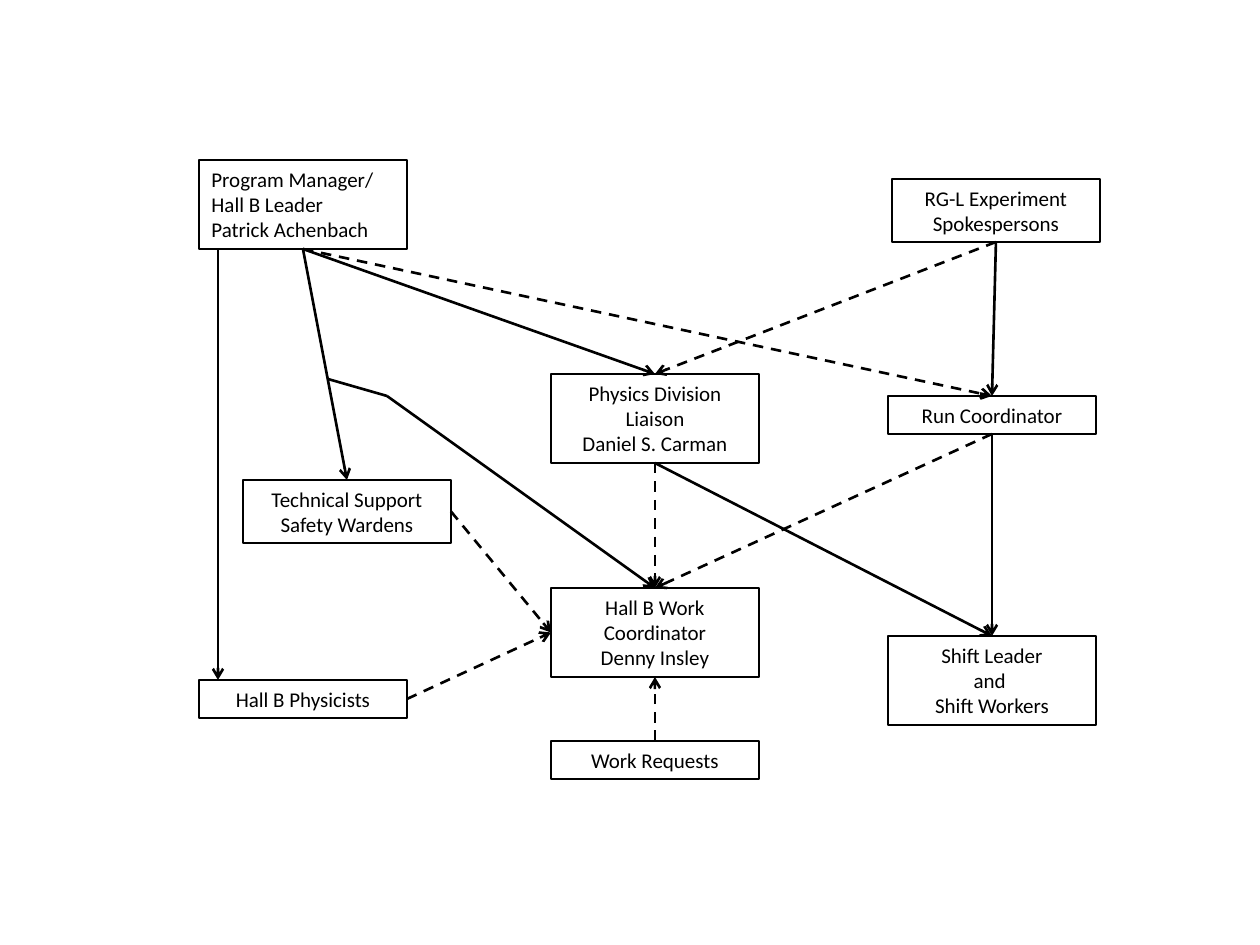
from lxml.etree import SubElement
from pptx import Presentation
from pptx.dml.color import RGBColor
from pptx.enum.dml import MSO_LINE
from pptx.enum.shapes import MSO_CONNECTOR
from pptx.enum.text import MSO_AUTO_SIZE, PP_ALIGN
from pptx.oxml.ns import qn
from pptx.util import Emu, Pt

PX = 914400 // 126
TOP, LEFT, BOTTOM, RIGHT = range(4)  # connection sites of a rectangle


def px(n):
    return Emu(n * PX)


def color(value):
    return RGBColor.from_string(value)


class Chart:
    font, size, ink, weight = "Calibri", Pt(12), "000000", Pt(1.5)
    box_width = 208
    box_heights = {1: 38, 2: 63, 3: 89}  # by number of text lines

    def __init__(self, slide):
        self.s = slide

    def outline(self, sp):
        sp.line.color.rgb = color(self.ink)
        sp.line.width = self.weight

    def box(self, x, y, *lines, align=PP_ALIGN.CENTER):
        height = self.box_heights[len(lines)]
        sp = self.s.shapes.add_textbox(px(x), px(y), px(self.box_width), px(height))
        self.outline(sp)
        tf = sp.text_frame
        tf.word_wrap = True
        tf.auto_size = MSO_AUTO_SIZE.SHAPE_TO_FIT_TEXT
        tf.text = "\n".join(lines)
        for p in tf.paragraphs:
            p.alignment = align
            p.font.name, p.font.size = self.font, self.size
            p.font.color.rgb = color(self.ink)
        return sp

    def line(self, start=(0, 0), end=(0, 0), arrow=True, dashed=False):
        ends = [px(n) for n in (*start, *end)]
        sp = self.s.shapes.add_connector(MSO_CONNECTOR.STRAIGHT, *ends)
        self.outline(sp)
        if dashed:
            sp.line.dash_style = MSO_LINE.DASH
        if arrow:
            SubElement(sp.line._get_or_add_ln(), qn("a:tailEnd"), type="arrow")
        SubElement(sp._element.spPr, qn("a:effectLst"))
        return sp

    def link(self, source, source_side, target, target_side, dashed=False):
        sp = self.line(dashed=dashed)
        sp.begin_connect(source, source_side)
        sp.end_connect(target, target_side)


def main():
    prs = Presentation()
    prs.slide_width, prs.slide_height = px(1260), px(945)
    c = Chart(prs.slides.add_slide(prs.slide_layouts[6]))

    # Roles
    manager = c.box(199, 160, "Program Manager/", "Hall B Leader",
                    "Patrick Achenbach", align=PP_ALIGN.LEFT)
    spokes = c.box(892, 179, "RG-L Experiment", "Spokespersons")
    shift = c.box(888, 636, "Shift Leader", "and ", "Shift Workers")
    run = c.box(888, 396, "Run Coordinator")
    liaison = c.box(551, 374, "Physics Division", "Liaison", "Daniel S. Carman")
    wardens = c.box(243, 480, "Technical Support", "Safety Wardens")
    requests = c.box(551, 741, "Work Requests")
    physicists = c.box(199, 680, "Hall B Physicists")
    work = c.box(551, 588, "Hall B Work", "Coordinator", "Denny Insley")

    # Lines of authority
    for source, target in [(run, shift), (spokes, run), (liaison, shift),
                           (manager, wardens), (manager, liaison)]:
        c.link(source, BOTTOM, target, TOP)
    c.line((218, 249), (218, 680))

    # Lines of communication
    for source, source_side, target, target_side in [
        (manager, BOTTOM, run, TOP),
        (spokes, BOTTOM, liaison, TOP),
        (run, BOTTOM, work, TOP),
        (requests, TOP, work, BOTTOM),
        (physicists, RIGHT, work, LEFT),
        (wardens, RIGHT, work, LEFT),
        (liaison, BOTTOM, work, TOP),
    ]:
        c.link(source, source_side, target, target_side, dashed=True)

    # Branch from the manager's line to the work coordinator
    bend = (387, 396)
    c.line(bend, (655, 588))
    c.line(bend, (328, 379), arrow=False)

    prs.save("out.pptx")


if __name__ == "__main__":
    main()
